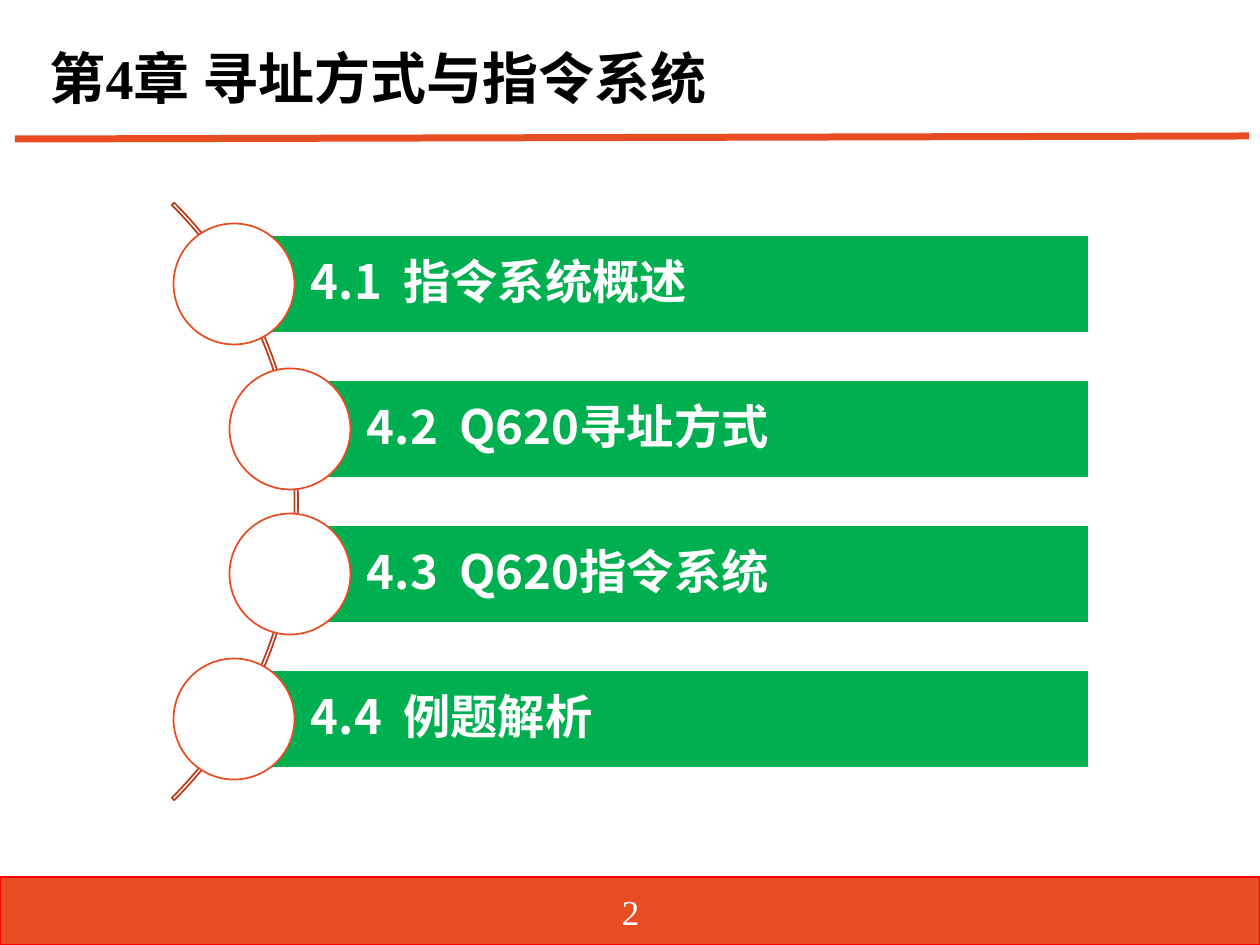
import pptx
import pptx.util
import pptx.dml.color
import pptx.enum.shapes
import pptx.enum.text
import pptx.oxml
import pptx.oxml.ns

# Content
TITLE = "第4章 寻址方式与指令系统"
PAGE_NUMBER = "2"
SECTIONS = [  # text, horizontal centre of its circle
    ("4.1  指令系统概述", 234),
    ("4.2  Q620寻址方式", 290),
    ("4.3  Q620指令系统", 290),
    ("4.4  例题解析", 234),
]

COLORS = {"accent": "E84C22", "arc": "BA3D1B", "bar": "00B050",
          "edge": "FF0000", "white": "FFFFFF", "black": "000000"}
SERIF, SANS = "Times New Roman", "Noto Sans CJK SC"
SHAPE = pptx.enum.shapes.MSO_SHAPE
ALIGN = pptx.enum.text.PP_ALIGN

# Geometry in px
FIRST_CENTER, PITCH = 284, 145
BAR_HEIGHT, BAR_RIGHT = 97, 1089
CIRCLE = 121
ARC_LEFT, ARC_SIZE = -547, 845


def px(value):
    return pptx.util.Emu(round(value * 914400 / 126))


def rgb(name):
    return pptx.dml.color.RGBColor.from_string(COLORS[name])


def add_shape(kind, left, top, width, height, fill, line, line_width=1):
    shape = slide.shapes.add_shape(kind, px(left), px(top), px(width), px(height))
    shape.shadow.inherit = False
    if fill:
        shape.fill.solid()
        shape.fill.fore_color.rgb = rgb(fill)
    else:
        shape.fill.background()
    shape.line.color.rgb = rgb(line)
    shape.line.width = pptx.util.Pt(line_width)
    return shape


def write(shape, text, size, font, color, bold=False, align=ALIGN.LEFT, spacing=0.9):
    frame = shape.text_frame
    frame.word_wrap = True
    frame.vertical_anchor = pptx.enum.text.MSO_ANCHOR.MIDDLE
    frame.text = text
    paragraph = frame.paragraphs[0]
    paragraph.alignment = align
    paragraph.line_spacing = spacing
    paragraph.font.size = pptx.util.Pt(size)
    paragraph.font.bold = bold
    paragraph.font.color.rgb = rgb(color)
    paragraph.font.name = font
    defaults = paragraph._p.pPr.find(pptx.oxml.ns.qn("a:defRPr"))
    defaults.append(pptx.oxml.parse_xml(
        f'<a:ea {pptx.oxml.ns.nsdecls("a")} typeface="{SANS}"/>'))


deck = pptx.Presentation()
deck.slide_width, deck.slide_height = px(1260), px(945)
slide = deck.slides.add_slide(deck.slide_layouts[5])

# Footer band and title rule
add_shape(SHAPE.RECTANGLE, 0, 877, 1260, 68, "accent", "edge", 0)
rule = slide.shapes.add_connector(
    pptx.enum.shapes.MSO_CONNECTOR.STRAIGHT, px(15), px(139), px(1249), px(136))
rule.line.color.rgb = rgb("accent")
rule.line.width = pptx.util.Pt(4)
rule._element.spPr.append(pptx.oxml.parse_xml(
    f'<a:effectLst {pptx.oxml.ns.nsdecls("a")}/>'))

# Title and page number
title = slide.shapes.title
title.left, title.top, title.width, title.height = px(37), px(26), px(1189), px(111)
write(title, TITLE, 32, SERIF, "black", bold=True)
page = slide.shapes.add_textbox(px(489), px(886), px(283), px(50))
write(page, PAGE_NUMBER, 20, SERIF, "white", align=ALIGN.CENTER, spacing=1.0)

# Arc behind the sections, centred on the list
list_center = FIRST_CENTER + PITCH * (len(SECTIONS) - 1) / 2
arc = add_shape(SHAPE.BLOCK_ARC, ARC_LEFT, list_center - ARC_SIZE / 2,
                ARC_SIZE, ARC_SIZE, None, "arc")
for index, value in enumerate((189, 27, 0.004)):
    arc.adjustments[index] = value

# Section bars, each starting at the centre of its circle
for row, (section, center_x) in enumerate(SECTIONS):
    center_y = FIRST_CENTER + row * PITCH
    bar = add_shape(SHAPE.RECTANGLE, center_x, center_y - BAR_HEIGHT / 2,
                    BAR_RIGHT - center_x, BAR_HEIGHT, "bar", "white")
    frame = bar.text_frame
    frame.margin_left = px(77)
    frame.margin_top = frame.margin_right = frame.margin_bottom = px(9)
    write(bar, section, 27, SANS, "white", bold=True)
    add_shape(SHAPE.OVAL, center_x - CIRCLE / 2, center_y - CIRCLE / 2,
              CIRCLE, CIRCLE, "white", "accent")

deck.save("out.pptx")
